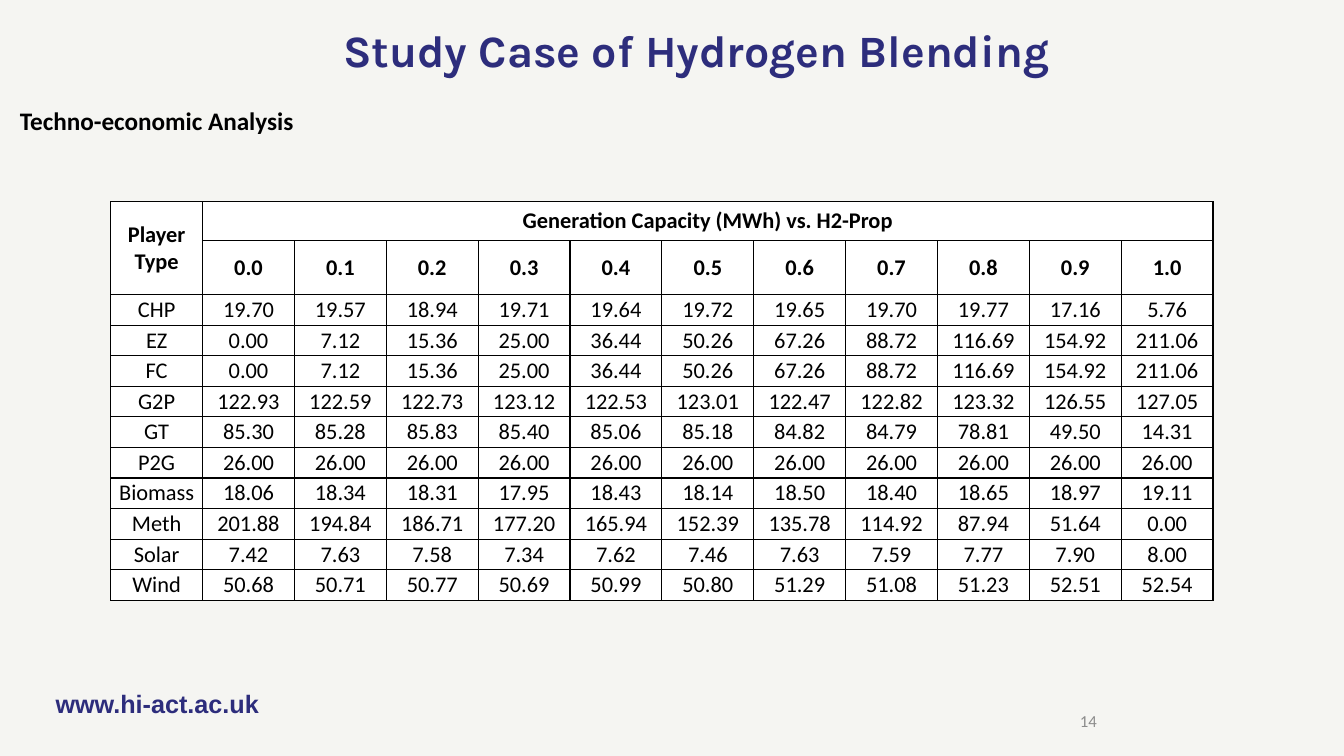
from pptx import Presentation
from pptx.dml.color import RGBColor
from pptx.enum.text import MSO_ANCHOR as Anchor, PP_ALIGN as Align
from pptx.oxml import parse_xml
from pptx.oxml.ns import nsdecls
from pptx.util import Cm, Pt

NAVY, BLACK, GREY, WHITE, PAPER = "2D2D7C", "000000", "8C8C8C", "FFFFFF", "F5F5F2"

# Generation capacity of each player, by hydrogen proportion
CAPACITY = {
    "CHP": [19.70, 19.57, 18.94, 19.71, 19.64, 19.72, 19.65, 19.70, 19.77, 17.16, 5.76],
    "EZ": [0, 7.12, 15.36, 25, 36.44, 50.26, 67.26, 88.72, 116.69, 154.92, 211.06],
    "FC": [0, 7.12, 15.36, 25, 36.44, 50.26, 67.26, 88.72, 116.69, 154.92, 211.06],
    "G2P": [122.93, 122.59, 122.73, 123.12, 122.53, 123.01, 122.47, 122.82, 123.32, 126.55, 127.05],
    "GT": [85.30, 85.28, 85.83, 85.40, 85.06, 85.18, 84.82, 84.79, 78.81, 49.50, 14.31],
    "P2G": [26] * 11,
    "Biomass": [18.06, 18.34, 18.31, 17.95, 18.43, 18.14, 18.50, 18.40, 18.65, 18.97, 19.11],
    "Meth": [201.88, 194.84, 186.71, 177.20, 165.94, 152.39, 135.78, 114.92, 87.94, 51.64, 0],
    "Solar": [7.42, 7.63, 7.58, 7.34, 7.62, 7.46, 7.63, 7.59, 7.77, 7.90, 8],
    "Wind": [50.68, 50.71, 50.77, 50.69, 50.99, 50.80, 51.29, 51.08, 51.23, 52.51, 52.54],
}


def colour(code):
    return RGBColor.from_string(code)


def write(para, text, size, font="Calibri", ink=BLACK, bold=False, align=Align.LEFT):
    para.alignment = align
    span = para.add_run()
    span.text = text
    span.font.name, span.font.size, span.font.bold = font, Pt(size), bold
    span.font.color.rgb = colour(ink)


def add_text(page, left, top, width, height, text, size,
             anchor=Anchor.TOP, inset=None, **style):
    box = page.shapes.add_textbox(Cm(left), Cm(top), Cm(width), Cm(height))
    frame = box.text_frame
    frame.word_wrap = True
    frame.vertical_anchor = anchor
    if inset is not None:
        frame.margin_left = frame.margin_right = Cm(inset)
        frame.margin_top = frame.margin_bottom = Cm(inset)
    write(frame.paragraphs[0], text, size, **style)


def style_cell(cell):
    cell.margin_left = cell.margin_right = cell.margin_top = cell.margin_bottom = 0
    cell.vertical_anchor = Anchor.MIDDLE
    properties = cell._tc.get_or_add_tcPr()
    for side in ("lnL", "lnR", "lnT", "lnB"):
        properties.append(parse_xml(
            f'<a:{side} {nsdecls("a")} w="{Pt(1)}"><a:solidFill>'
            f'<a:srgbClr val="{BLACK}"/></a:solidFill></a:{side}>'))
    cell.fill.solid()
    cell.fill.fore_color.rgb = colour(WHITE)


def fill_cell(cell, *lines, bold=False):
    frame = cell.text_frame
    for index, line in enumerate(lines):
        para = frame.add_paragraph() if index else frame.paragraphs[0]
        write(para, line, 16, bold=bold, align=Align.CENTER)


def add_capacity_table(page):
    heights = [0.99, 0.94] + [0.77] * len(CAPACITY)
    table = page.shapes.add_table(len(heights), 12, Cm(2.79), Cm(5.08),
                                  Cm(27.79), Cm(sum(heights))).table
    for row, height in zip(table.rows, heights):
        row.height = Cm(height)
    for cell in table.iter_cells():
        style_cell(cell)

    # Two header rows
    table.cell(0, 0).merge(table.cell(1, 0))
    table.cell(0, 1).merge(table.cell(0, 11))
    fill_cell(table.cell(0, 0), "Player", "Type", bold=True)
    fill_cell(table.cell(0, 1), "Generation Capacity (MWh) vs. H2-Prop", bold=True)
    for step in range(11):
        fill_cell(table.cell(1, step + 1), f"{step / 10:.1f}", bold=True)

    # One row per player
    for row, (player, values) in enumerate(CAPACITY.items(), start=2):
        fill_cell(table.cell(row, 0), player)
        for column, value in enumerate(values, start=1):
            fill_cell(table.cell(row, column), f"{value:.2f}")


def main():
    deck = Presentation()
    deck.slide_width, deck.slide_height = Cm(33.87), Cm(19.05)
    page = deck.slides.add_slide(deck.slide_layouts[6])
    page.background.fill.solid()
    page.background.fill.fore_color.rgb = colour(PAPER)

    # Footer
    add_text(page, 1.4, 17.35, 16.94, 0.76, "www.hi-act.ac.uk", 18,
             inset=0, font="Arial", ink=NAVY, bold=True)
    add_text(page, 22.17, 17.65, 5.72, 1.02, "14", 12,
             anchor=Anchor.MIDDLE, ink=GREY, align=Align.RIGHT)

    # Headings
    add_text(page, 5.64, 0.46, 23.83, 1.63, "Study Case of Hydrogen Blending", 32,
             font="Karla", ink=NAVY, bold=True, align=Align.CENTER)
    add_text(page, 0.25, 2.54, 8.56, 1.02, "Techno-economic Analysis", 18, bold=True)

    add_capacity_table(page)
    deck.save("out.pptx")


if __name__ == "__main__":
    main()
